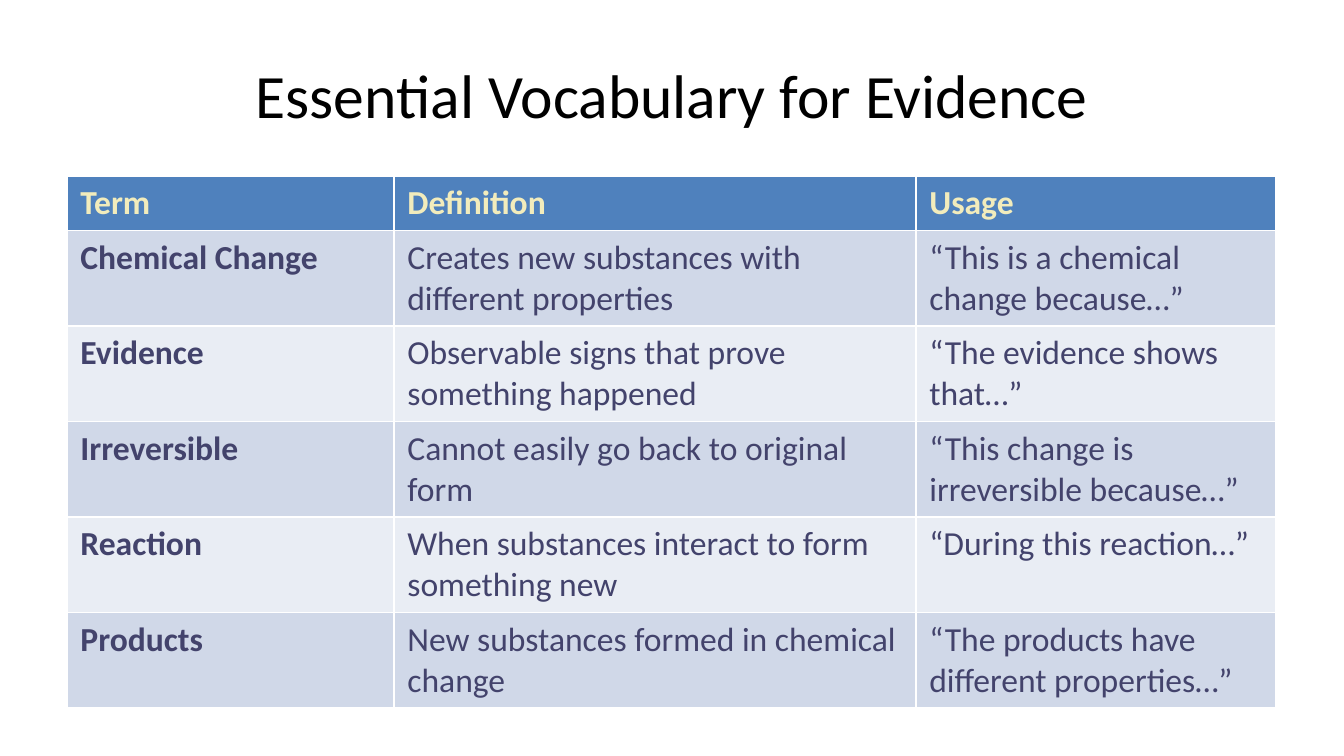
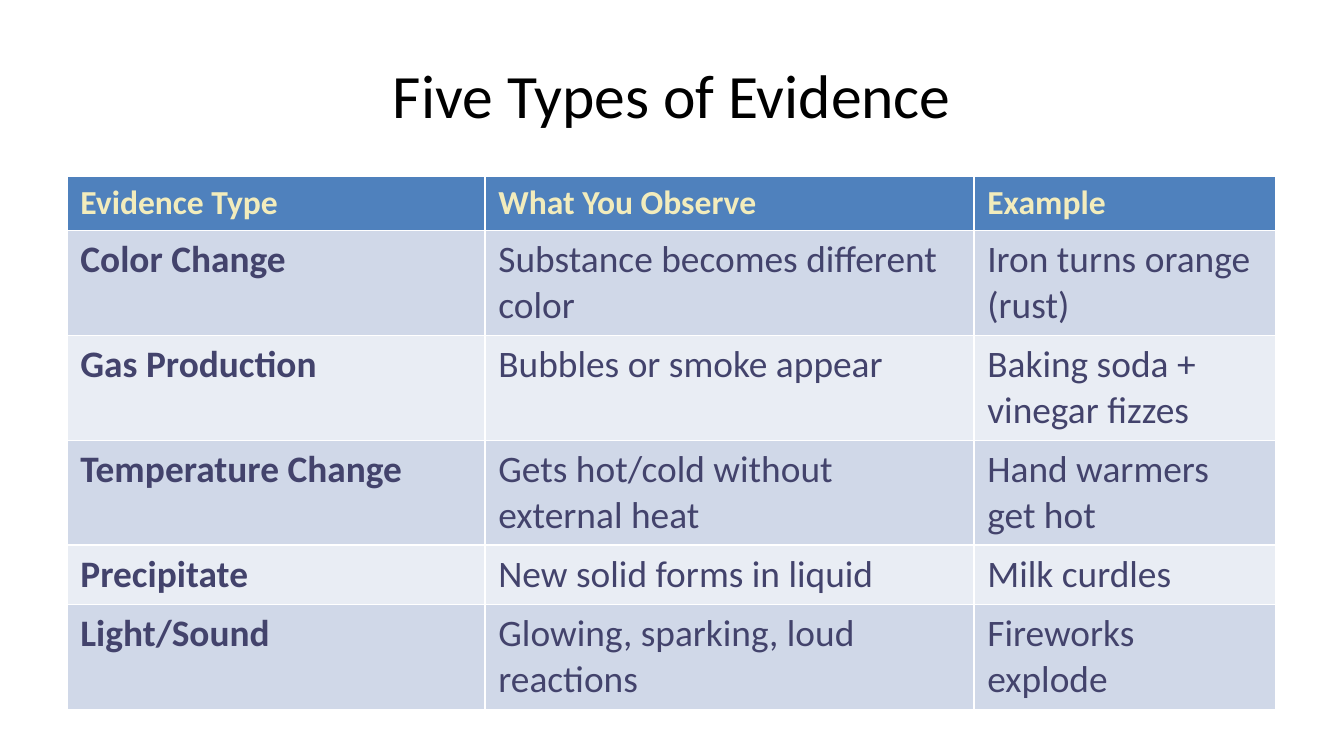
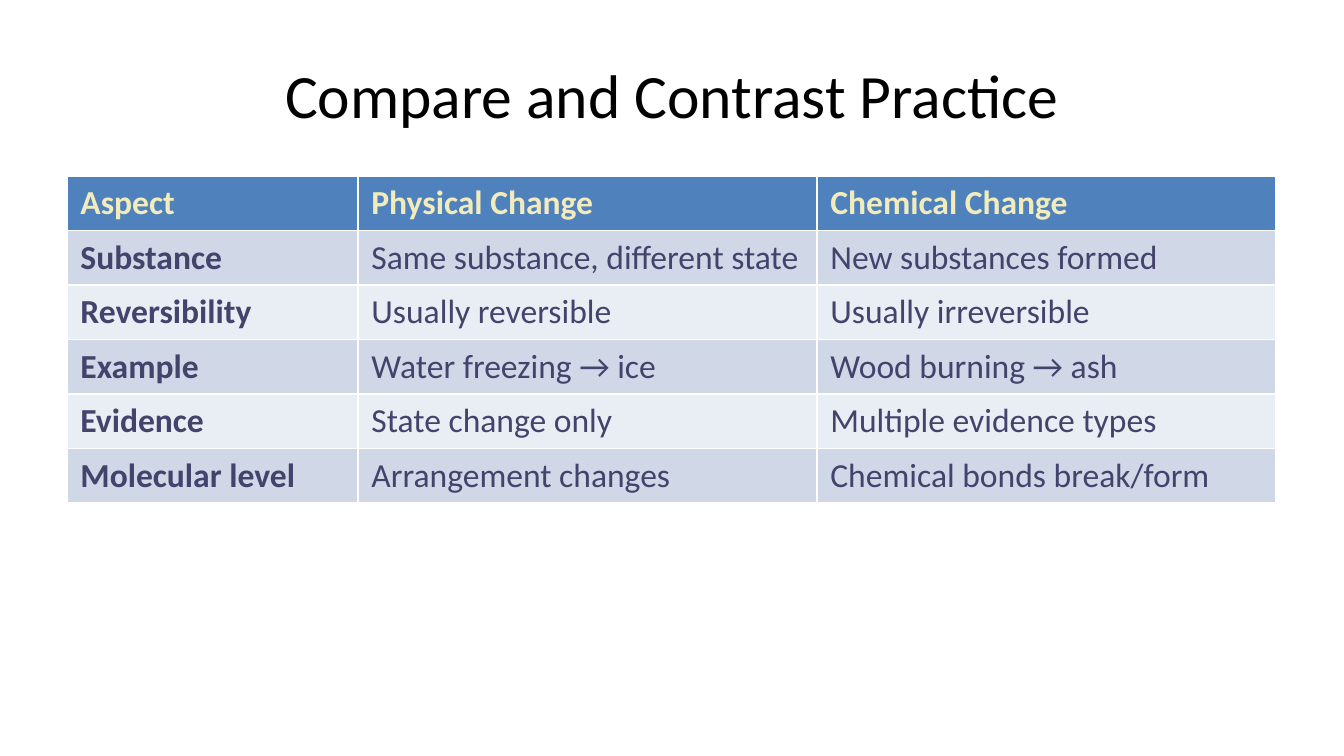
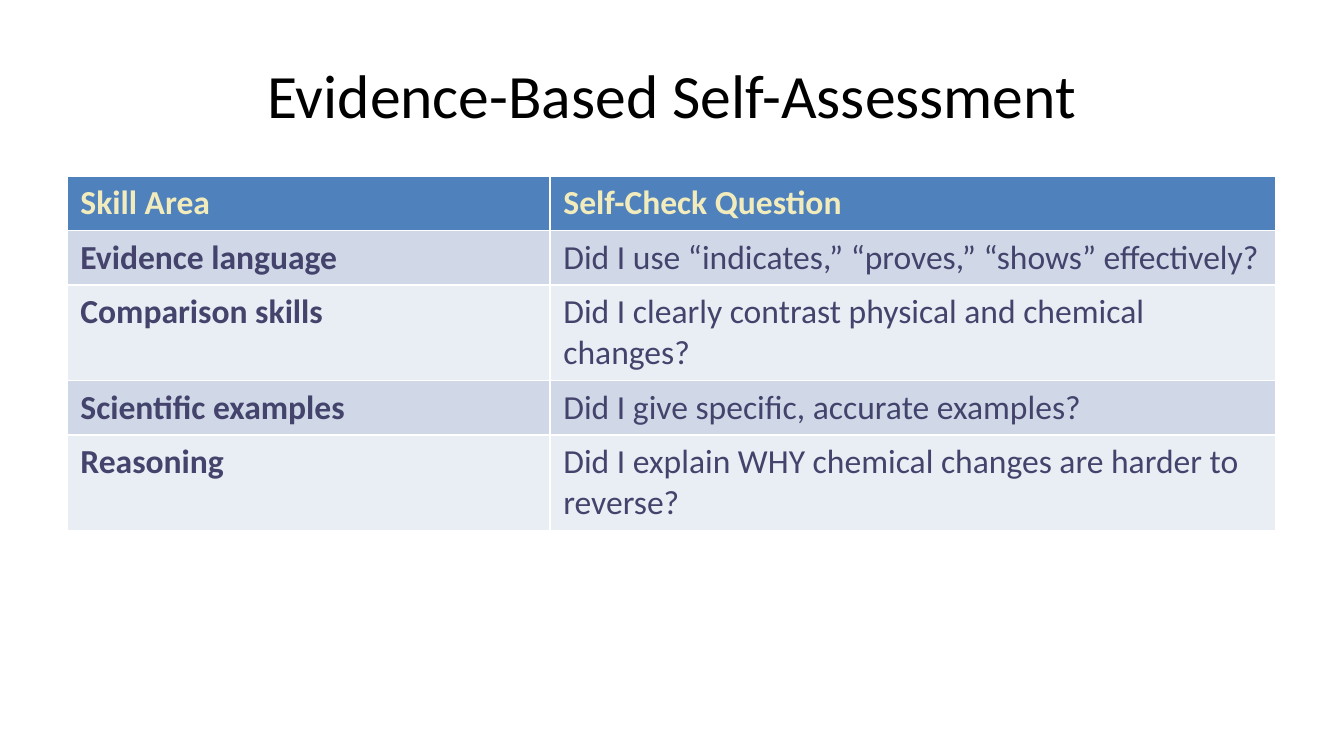
from dataclasses import dataclass

from lxml import etree
from pptx import Presentation, util as u
from pptx.dml.color import RGBColor
from pptx.enum import text as t
from pptx.oxml.ns import qn


@dataclass(frozen=True)
class Theme:
    font: str = "Calibri"
    page: str = "FFFFFF"
    title: str = "000000"
    ink: str = "43436C"
    cream: str = "F2ECBC"
    head: str = "4F81BD"
    bands: tuple = ("D0D8E8", "E9EDF4")
    rule: str = "FFFFFF"
    title_size: int = 33
    head_size: int = 18
    rule_size: int = 1


THEME = Theme()
WIDE, HIGH = 1344, 756
LEFT, TOP, ROW = 67, 176, 54

TERMS = [
    ("Term", "Definition", "Usage"),
    ("Chemical Change", "Creates new substances with different properties",
     "“This is a chemical change because…”"),
    ("Evidence", "Observable signs that prove something happened",
     "“The evidence shows that…”"),
    ("Irreversible", "Cannot easily go back to original form",
     "“This change is irreversible because…”"),
    ("Reaction", "When substances interact to form something new",
     "“During this reaction…”"),
    ("Products", "New substances formed in chemical change",
     "“The products have different properties…”"),
]
TYPES = [
    ("Evidence Type", "What You Observe", "Example"),
    ("Color Change", "Substance becomes different color",
     "Iron turns orange (rust)"),
    ("Gas Production", "Bubbles or smoke appear",
     "Baking soda + vinegar fizzes"),
    ("Temperature Change", "Gets hot/cold without external heat",
     "Hand warmers get hot"),
    ("Precipitate", "New solid forms in liquid", "Milk curdles"),
    ("Light/Sound", "Glowing, sparking, loud reactions", "Fireworks explode"),
]
ASPECTS = [
    ("Aspect", "Physical Change", "Chemical Change"),
    ("Substance", "Same substance, different state", "New substances formed"),
    ("Reversibility", "Usually reversible", "Usually irreversible"),
    ("Example", "Water freezing → ice", "Wood burning → ash"),
    ("Evidence", "State change only", "Multiple evidence types"),
    ("Molecular level", "Arrangement changes", "Chemical bonds break/form"),
]
SKILLS = [
    ("Skill Area", "Self-Check Question"),
    ("Evidence language",
     "Did I use “indicates,” “proves,” “shows” effectively?"),
    ("Comparison skills",
     "Did I clearly contrast physical and chemical changes?"),
    ("Scientific examples", "Did I give specific, accurate examples?"),
    ("Reasoning", "Did I explain WHY chemical changes are harder to reverse?"),
]


def px(n):
    return u.Emu(round(n * 914400 / 134.4))


def add_run(para, words, size, color, bold=False):
    run = para.add_run()
    run.text = words
    font = run.font
    font.name, font.size, font.bold = THEME.font, u.Pt(size), bold
    font.color.rgb = RGBColor.from_string(color)


def paint(fill, color):
    fill.solid()
    fill.fore_color.rgb = RGBColor.from_string(color)


def add_rules(cell):
    """Draw the four cell borders, which must precede the fill in the XML."""
    props = cell._tc.get_or_add_tcPr()
    for spot, side in enumerate(("lnL", "lnR", "lnT", "lnB")):
        line = etree.Element(qn(f"a:{side}"), w=str(u.Pt(THEME.rule_size)))
        fill = etree.SubElement(line, qn("a:solidFill"))
        etree.SubElement(fill, qn("a:srgbClr"), val=THEME.rule)
        props.insert(spot, line)


def add_title(slide, words):
    title = slide.shapes.title
    title.left, title.top = px(LEFT), px(31)
    title.width, title.height = px(WIDE - 2 * LEFT), px(126)
    frame = title.text_frame
    frame.vertical_anchor = t.MSO_ANCHOR.MIDDLE
    para = frame.paragraphs[0]
    para.alignment = t.PP_ALIGN.CENTER
    add_run(para, words, THEME.title_size, THEME.title)


def add_grid(slide, rows, widths, size):
    """Add a table with a header row, a bold first column and banded rows."""
    grid = slide.shapes.add_table(
        len(rows), len(widths), px(LEFT), px(TOP),
        px(sum(widths)), px(ROW * len(rows))).table
    for col, width in zip(grid.columns, widths):
        col.width = px(width)
    for r, row in enumerate(rows):
        for c, words in enumerate(row):
            cell = grid.cell(r, c)
            para = cell.text_frame.paragraphs[0]
            if r == 0:
                paint(cell.fill, THEME.head)
                add_run(para, words, THEME.head_size, THEME.cream, True)
            else:
                paint(cell.fill, THEME.bands[(r - 1) % 2])
                add_run(para, words, size, THEME.ink, c == 0)
            add_rules(cell)


def main():
    deck = Presentation()
    deck.slide_width, deck.slide_height = px(WIDE), px(HIGH)
    paint(deck.slide_master.background.fill, THEME.page)
    pages = [
        ("Essential Vocabulary for Evidence", TERMS, (327, 522, 360), 18),
        ("Five Types of Evidence", TYPES, (418, 489, 302), 20),
        ("Compare and Contrast Practice", ASPECTS, (291, 459, 459), 18),
        ("Evidence-Based Self-Assessment", SKILLS, (483, 726), 18),
    ]
    for title, rows, widths, size in pages:
        slide = deck.slides.add_slide(deck.slide_layouts[5])
        add_title(slide, title)
        add_grid(slide, rows, widths, size)
    deck.save("out.pptx")


if __name__ == "__main__":
    main()
